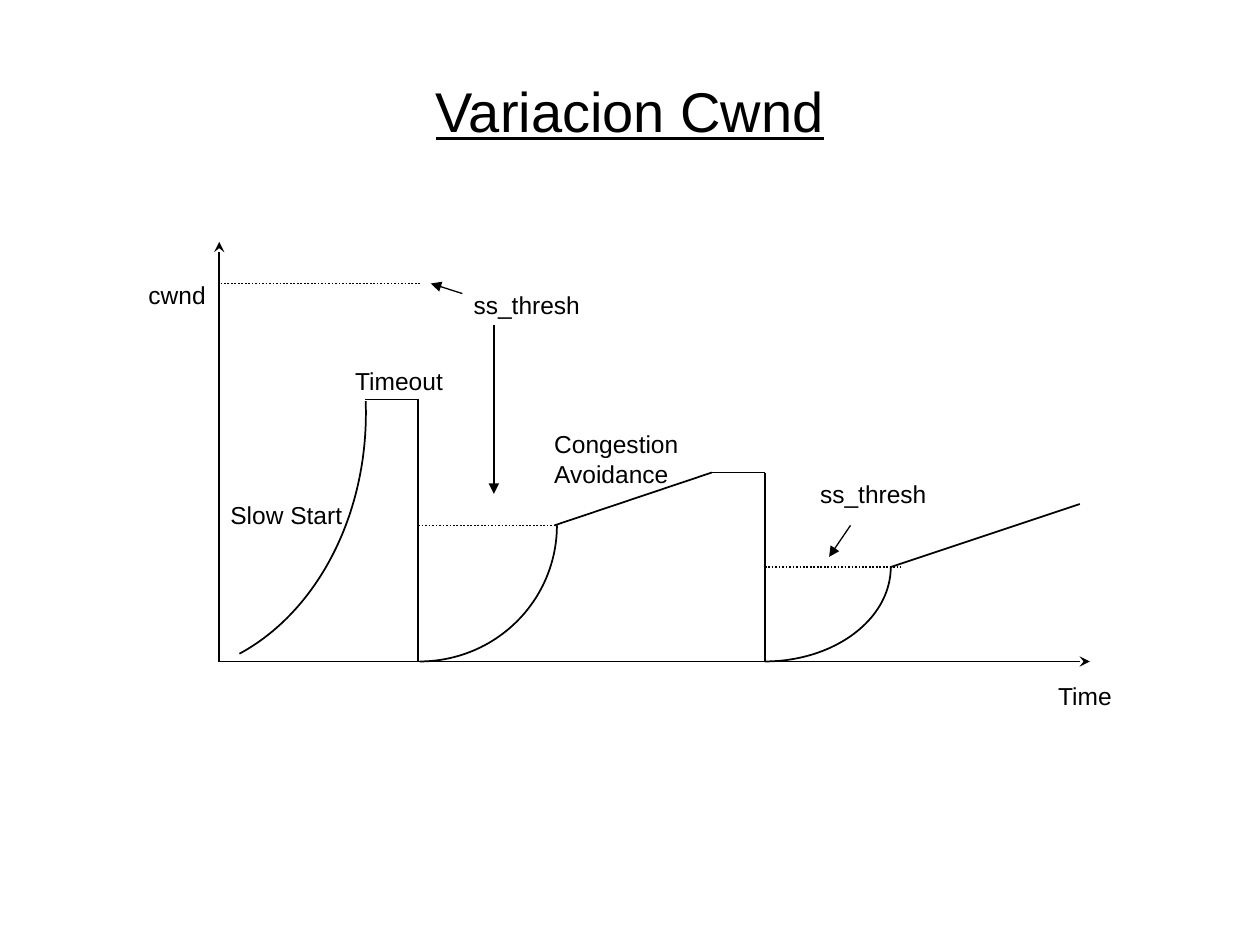
from dataclasses import dataclass
from lxml.etree import SubElement as Sub
from pptx import Presentation
from pptx.dml.color import RGBColor as RGB
from pptx.enum.dml import MSO_LINE as Dash
from pptx.enum.shapes import MSO_CONNECTOR as Link, MSO_SHAPE as Shape
from pptx.enum.text import MSO_ANCHOR as Anchor, PP_ALIGN as Align
from pptx.oxml.ns import qn
from pptx.util import Inches, Pt


@dataclass(frozen=True)
class Theme:
    font: str = "Arial"
    ink: RGB = RGB(0, 0, 0)
    title: int = 32
    label: int = 14
    line: float = 1
    thin: float = 0.75


theme = Theme()
BASE = 5.25
TITLE = ("Variacion Cwnd", (0.75, 0.33, 8.5, 1.08))
LABELS = [
    (["cwnd"], (1.08, 2.17, 0.66, 0.33)),
    (["Time"], (8.3, 5.36, 0.64, 0.33)),
    (["Slow Start"], (1.73, 3.92, 1.09, 0.33)),
    (["Timeout"], (2.72, 2.86, 0.91, 0.33)),
    (["Congestion", "Avoidance"], (4.3, 3.36, 1.19, 0.57)),
    (["ss_thresh"], (3.66, 2.25, 1.05, 0.33)),
    (["ss_thresh"], (6.41, 3.75, 1.05, 0.33)),
]
AXES = [
    [(1.74, BASE), (1.74, 1.92)],
    [(1.74, BASE), (8.65, BASE)],
]
WINDOW = [
    [(2.9, 3.17), (3.32, 3.17), (3.32, BASE)],
    [(4.4, 4.17), (5.65, 3.75), (6.07, 3.75), (6.07, BASE)],
    [(7.07, 4.5), (8.57, 4)],
]
LIMITS = [
    [(1.75, 2.25), (3.33, 2.25)],
    [(3.32, 4.17), (4.42, 4.17)],
    [(6.07, 4.5), (7.15, 4.5)],
]
HINTS = [
    [(3.67, 2.33), (3.42, 2.25)],
    [(3.92, 2.58), (3.92, 3.92)],
    [(6.75, 4.17), (6.58, 4.42)],
]
GROWTH = [
    ((1.24, 3.28), (1.665, 2.08), (356.7, 70.9)),
    ((3.33, 4.17), (1.09, 1.08), (0, 90)),
    ((6.07, 4.5), (1, 0.75), (0, 90)),
]


def ink(line, width):
    line.color.rgb = theme.ink
    line.width = Pt(width)


def trace(slide, dots, width=theme.line, dash=None, head=None):
    for start, end in zip(dots, dots[1:]):
        spots = [Inches(n) for n in start + end]
        link = slide.shapes.add_connector(Link.STRAIGHT, *spots)
        ink(link.line, width)
        if dash:
            link.line.dash_style = dash
        if head:
            Sub(link.line._get_or_add_ln(), qn("a:tailEnd"), type=head)
        Sub(link._element.spPr, qn("a:effectLst"))


def curve(slide, mid, radii, sweep):
    (x, y), (rx, ry) = mid, radii
    box = [Inches(n) for n in (x - rx, y - ry, 2 * rx, 2 * ry)]
    arc = slide.shapes.add_shape(Shape.ARC, *box)
    for i, angle in enumerate(sweep):
        arc.adjustments[i] = angle * 0.6
    arc.shadow.inherit = False
    arc.fill.background()
    ink(arc.line, theme.line)


def write(slide, rows, box, size):
    frame = slide.shapes.add_textbox(*[Inches(n) for n in box]).text_frame
    frame.word_wrap = False
    for i, row in enumerate(rows):
        para = frame.add_paragraph() if i else frame.paragraphs[0]
        run = para.add_run()
        run.text = row
        run.font.name = theme.font
        run.font.size = Pt(size)
        run.font.color.rgb = theme.ink
    return frame


def main():
    deck = Presentation()
    deck.slide_width, deck.slide_height = Inches(10), Inches(7.5)
    slide = deck.slides.add_slide(deck.slide_layouts[6])

    text, box = TITLE
    frame = write(slide, [text], box, theme.title)
    frame.word_wrap = True
    frame.vertical_anchor = Anchor.MIDDLE
    para = frame.paragraphs[0]
    para.alignment = Align.CENTER
    para.runs[0].font.underline = True

    for dots in AXES:
        trace(slide, dots, head="stealth")
    for arc in GROWTH:
        curve(slide, *arc)
    for dots in WINDOW:
        trace(slide, dots)
    for dots in LIMITS:
        trace(slide, dots, dash=Dash.ROUND_DOT)
    for dots in HINTS:
        trace(slide, dots, theme.thin, head="triangle")
    for rows, box in LABELS:
        write(slide, rows, box, theme.label)

    deck.save("out.pptx")


if __name__ == "__main__":
    main()
